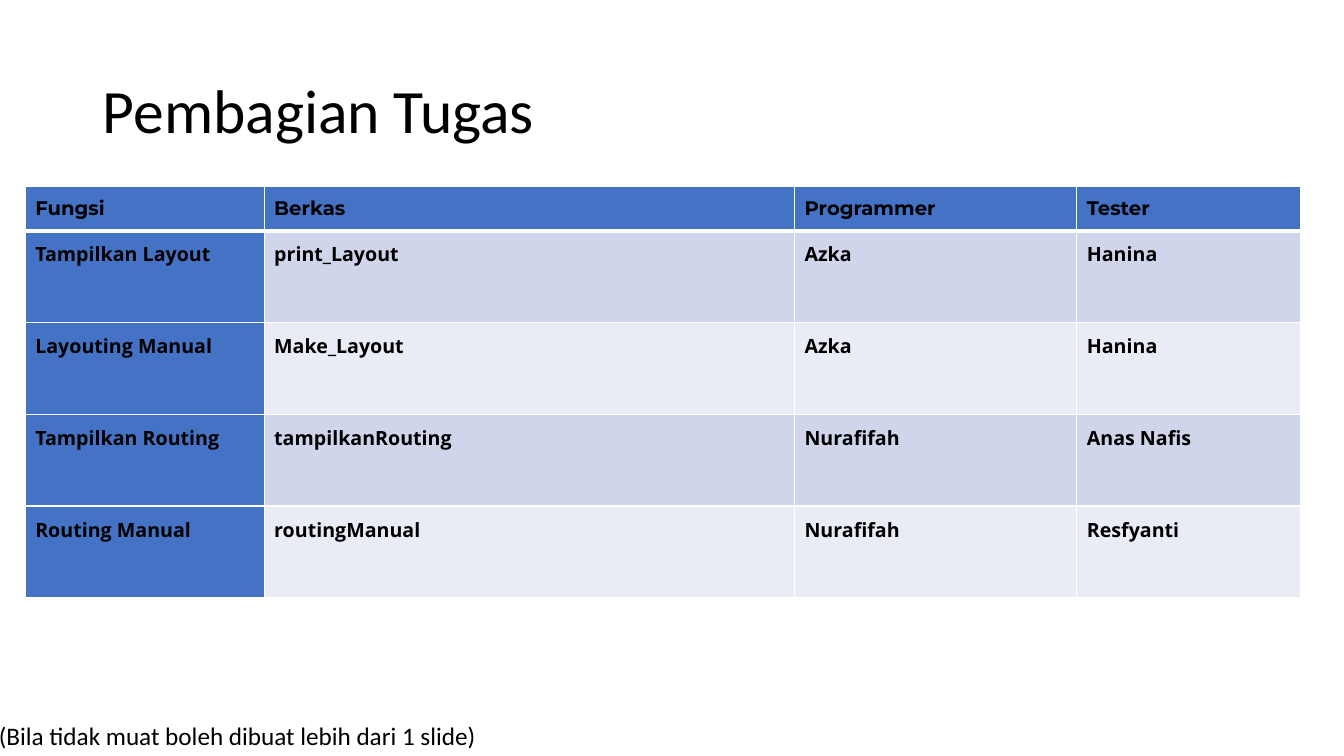
from dataclasses import dataclass

from lxml.etree import SubElement
from pptx import Presentation
from pptx.dml.color import RGBColor as RGB
from pptx.enum.text import MSO_ANCHOR as Anchor, MSO_AUTO_SIZE as AutoSize, PP_ALIGN as Align
from pptx.oxml.ns import qn
from pptx.util import Inches, Pt

TITLE = "Pembagian Tugas"
NOTE = "(Bila tidak muat boleh dibuat lebih dari 1 slide)"
TASKS = [
    ("Fungsi", "Berkas", "Programmer", "Tester"),
    ("Tampilkan Layout", "print_Layout", "Azka", "Hanina"),
    ("Layouting Manual", "Make_Layout", "Azka", "Hanina"),
    ("Tampilkan Routing", "tampilkanRouting", "Nurafifah", "Anas Nafis"),
    ("Routing Manual", "routingManual", "Nurafifah", "Resfyanti"),
]
COL_WIDTHS = (2.37, 5.26, 2.8, 2.22)
HEADER_HEIGHT, ROW_HEIGHT = 0.44, 0.91


@dataclass(frozen=True)
class Theme:
    text: str = "000000"
    accent: str = "4472C4"
    bands: tuple = ("E9EBF5", "CFD5EA")
    border: str = "FFFFFF"
    main_font: str = "Calibri"
    header_font: str = "Montserrat"
    cell_font: str = "Open Sans"
    title_size: int = 44
    note_size: int = 18
    cell_size: int = 14


THEME = Theme()


def box(left, top, width, height):
    return [Inches(v) for v in (left, top, width, height)]


def style(p, font, size, bold=False):
    p.alignment = Align.LEFT
    p.font.name, p.font.size, p.font.bold = font, Pt(size), bold
    p.font.color.rgb = RGB.from_string(THEME.text)


def add_borders(cell, widths):
    """Draw the left, right, top and bottom borders, with widths in points."""
    tc_pr = cell._tc.get_or_add_tcPr()
    for side, width in zip("LRTB", widths):
        ln = SubElement(tc_pr, qn(f"a:ln{side}"), w=str(Pt(width)))
        fill = SubElement(ln, qn("a:solidFill"))
        SubElement(fill, qn("a:srgbClr"), val=THEME.border)


def add_title(slide):
    sp = slide.shapes.title
    sp.left, sp.top, sp.width, sp.height = box(0.92, 0.4, 11.5, 1.45)
    tf = sp.text_frame
    tf.text = TITLE
    tf.vertical_anchor = Anchor.MIDDLE
    p = tf.paragraphs[0]
    p.line_spacing = 0.9
    style(p, THEME.main_font, THEME.title_size)


def add_tasks(slide):
    height = HEADER_HEIGHT + ROW_HEIGHT * (len(TASKS) - 1)
    table = slide.shapes.add_table(
        len(TASKS), len(COL_WIDTHS), *box(0.25, 1.85, sum(COL_WIDTHS), height)).table
    table.first_col = True
    for col, width in zip(table.columns, COL_WIDTHS):
        col.width = Inches(width)
    for r, values in enumerate(TASKS):
        header = r == 0
        table.rows[r].height = Inches(HEADER_HEIGHT if header else ROW_HEIGHT)
        for c, value in enumerate(values):
            cell = table.cell(r, c)
            cell.text = value
            cell.margin_left = cell.margin_right = Inches(0.1)
            cell.margin_top = cell.margin_bottom = Inches(0.1)
            add_borders(cell, (1, 1, 3 if r == 1 else 1, 3 if header else 1))
            color = THEME.accent if header or c == 0 else THEME.bands[r % 2]
            cell.fill.solid()
            cell.fill.fore_color.rgb = RGB.from_string(color)
            font = THEME.header_font if header else THEME.cell_font
            style(cell.text_frame.paragraphs[0], font, THEME.cell_size, bold=True)


def add_note(slide):
    tf = slide.shapes.add_textbox(*box(-0.11, 7.1, 4.99, 0.4)).text_frame
    tf.text = NOTE
    tf.word_wrap = False
    tf.auto_size = AutoSize.SHAPE_TO_FIT_TEXT
    style(tf.paragraphs[0], THEME.main_font, THEME.note_size)


def main():
    prs = Presentation()
    prs.slide_width, prs.slide_height = Inches(13.33), Inches(7.5)
    slide = prs.slides.add_slide(prs.slide_layouts.get_by_name("Title Only"))
    add_title(slide)
    add_tasks(slide)
    add_note(slide)
    prs.save("out.pptx")


if __name__ == "__main__":
    main()
